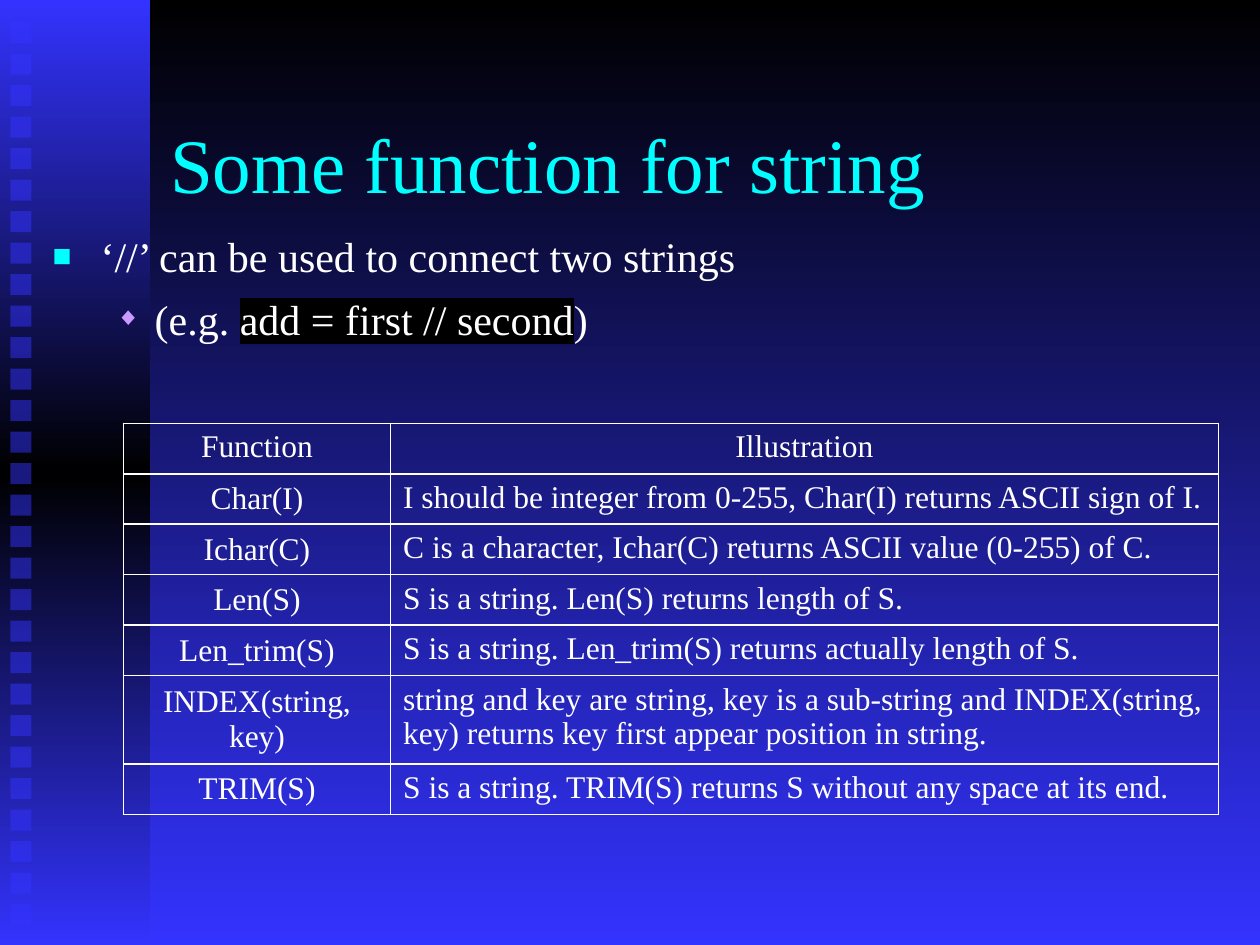
import copy
import pptx
import pptx.dml.color
import pptx.enum.shapes
import pptx.enum.text
import pptx.oxml
import pptx.oxml.ns
import pptx.util

BLUE, BLACK, WHITE, CYAN, LILAC = "3333FF", "000000", "FFFFFF", "00FFFF", "CC99FF"
FONT = "Times New Roman"
NS = pptx.oxml.ns.nsdecls("a")
ALIGN = pptx.enum.text.PP_ALIGN
MID = pptx.enum.text.MSO_ANCHOR.MIDDLE
RECT = pptx.enum.shapes.MSO_SHAPE.RECTANGLE


def tint(hue):
    return pptx.dml.color.RGBColor.from_string(hue)


def write(para, text, size, hue=WHITE):
    run = para.add_run()
    look = {"text": text, "font.name": FONT, "font.size": pptx.util.Pt(size)}
    for key, val in look.items():
        owner = run.font if key.startswith("font.") else run
        setattr(owner, key.split(".")[-1], val)
    run.font.color.rgb = tint(hue)
    return run


deck = pptx.Presentation()
deck.slide_width, deck.slide_height = pptx.util.Inches(10), pptx.util.Inches(7.5)
unit = deck.slide_width // 40  # square grid: 40 columns by 30 rows
slide = deck.slides.add_slide(deck.slide_layouts[5])
shapes = slide.shapes

# Background and side strip, both shaded from top to bottom
strip = shapes.add_shape(RECT, 0, 0, int(4.76 * unit), deck.slide_height)
strip.shadow.inherit = False
strip.line.fill.background()
for fill, hues in ((slide.background.fill, [BLACK, BLUE]),
                   (strip.fill, [BLUE, BLACK, BLUE])):
    fill.gradient()
    fill.gradient_angle = 270
    stops = fill.gradient_stops
    if len(hues) > 2:
        last = stops[1]._gs
        last.addprevious(copy.deepcopy(last))
        stops = fill.gradient_stops
    for i, (stop, hue) in enumerate(zip(stops, hues)):
        stop.color.rgb = tint(hue)
        stop.position = i / (len(hues) - 1)

# Column of half-clear squares, one per grid row
for row in range(29):
    box = shapes.add_shape(RECT, int(0.33 * unit), int((row + 0.7) * unit),
                           int(0.67 * unit), int(0.67 * unit))
    box.shadow.inherit = False
    box.line.fill.background()
    box.fill.solid()
    box.fill.fore_color.rgb = tint(BLUE)
    shade = box.fill._xPr.find(".//" + pptx.oxml.ns.qn("a:srgbClr"))
    shade.append(pptx.oxml.parse_xml(f'<a:alpha {NS} val="50000"/>'))

# Title
title = shapes.title
place = {"left": 5, "top": 2.68, "width": 34, "height": 5}
for key, val in place.items():
    setattr(title, key, int(val * unit))
title.text_frame.vertical_anchor = MID
head = title.text_frame.paragraphs[0]
head.alignment = ALIGN.LEFT
write(head, "Some function for string", 44, CYAN)

# Bulleted text: parts, indent, hang, gap, bullet, bullet colour, bullet size
body = shapes.add_textbox(*(int(n * unit) for n in (1.28, 7.12, 38.24, 22.04)))
frame = body.text_frame
frame.word_wrap = True
points = [
    (["‘//’ can be used to connect two strings"], 0.38, 0.38, 2.5, "■", CYAN, 75),
    (["(e.g. ", "add = first // second", ")"], 0.81, 0.31, 7, "◆", LILAC, 60),
]
for i, (parts, inset, hang, gap, mark, hue, pct) in enumerate(points):
    para = frame.add_paragraph() if i else frame.paragraphs[0]
    para.level = i
    para.space_before = pptx.util.Pt(gap)
    props = para._p.get_or_add_pPr()
    props.set("marL", str(pptx.util.Inches(inset)))
    props.set("indent", str(-pptx.util.Inches(hang)))
    for xml in (f'<a:buClr {NS}><a:srgbClr val="{hue}"/></a:buClr>',
                f'<a:buSzPct {NS} val="{pct * 1000}"/>',
                f'<a:buFont {NS} typeface="{FONT}"/>',
                f'<a:buChar {NS} char="{mark}"/>'):
        props.append(pptx.oxml.parse_xml(xml))
    for j, part in enumerate(parts):
        run = write(para, part, 24)
        if j == 1:  # the code sample stands on black
            ink = run.font.fill._xPr.find(pptx.oxml.ns.qn("a:solidFill"))
            ink.addnext(pptx.oxml.parse_xml(
                f'<a:highlight {NS}><a:srgbClr val="{BLACK}"/></a:highlight>'))

# Table of functions
rows = [
    ("Function", "Illustration"),
    ("Char(I)", "I should be integer from 0-255, Char(I) returns ASCII sign of I."),
    ("Ichar(C)", "C is a character, Ichar(C) returns ASCII value (0-255) of C."),
    ("Len(S)", "S is a string. Len(S) returns length of S."),
    ("Len_trim(S)", "S is a string. Len_trim(S) returns actually length of S."),
    ("INDEX(string, key)", "string and key are string, key is a sub-string and "
     "INDEX(string, key) returns key first appear position in string."),
    ("TRIM(S)", "S is a string. TRIM(S) returns S without any space at its end."),
]
cols = [8.48, 26.28]
table = shapes.add_table(len(rows), 2, int(3.92 * unit), int(13.44 * unit),
                         int(sum(cols) * unit), int(1.28 * len(rows) * unit)).table
table.first_row = table.horz_banding = False
for col, wide in zip(table.columns, cols):
    col.width = int(wide * unit)
for r, row in enumerate(rows):
    for c, text in enumerate(row):
        cell = table.cell(r, c)
        para = cell.text_frame.paragraphs[0]
        para.alignment = ALIGN.LEFT if r and c else ALIGN.CENTER
        if r and not c:
            cell.vertical_anchor = MID
        write(para, text, 18)
        props = cell._tc.get_or_add_tcPr()
        for side in ("lnL", "lnR", "lnT", "lnB"):
            props.append(pptx.oxml.parse_xml(
                f'<a:{side} {NS} w="12700"><a:solidFill><a:srgbClr val="{WHITE}"/>'
                f'</a:solidFill></a:{side}>'))
        cell.fill.background()

deck.save("out.pptx")
